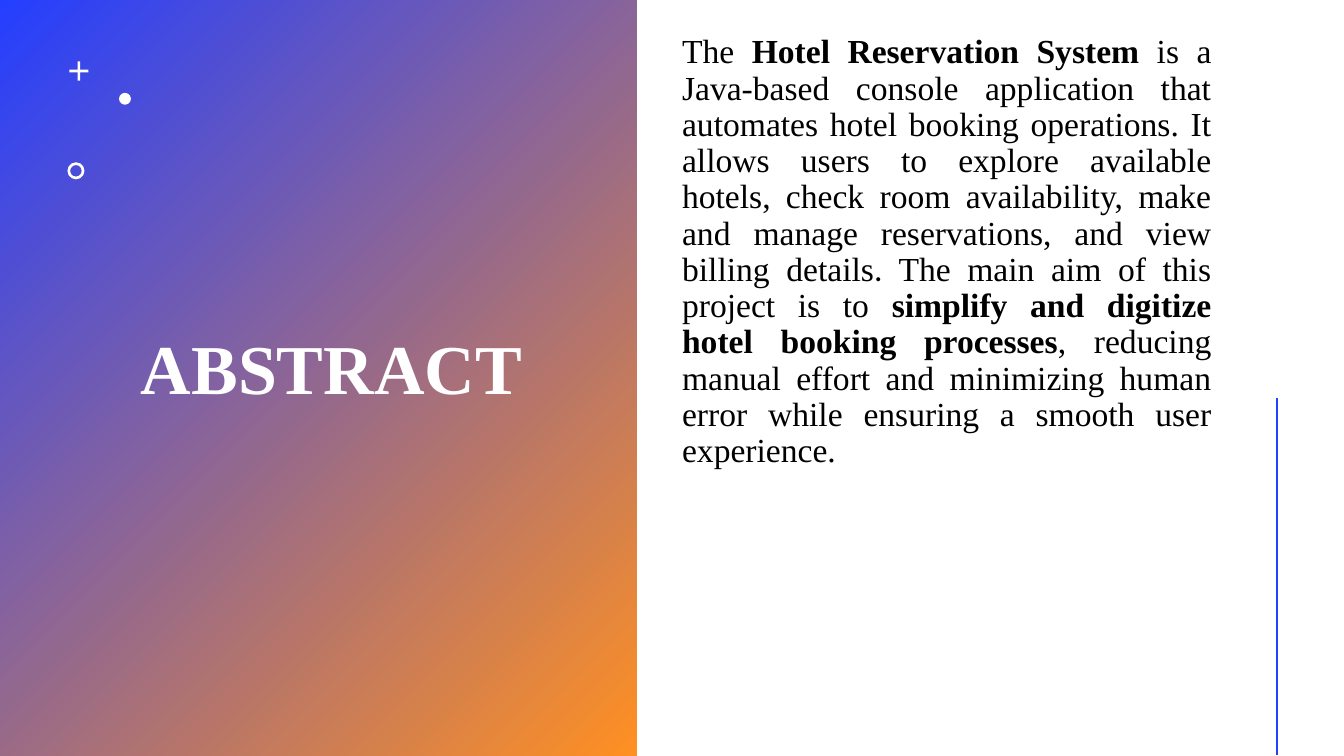
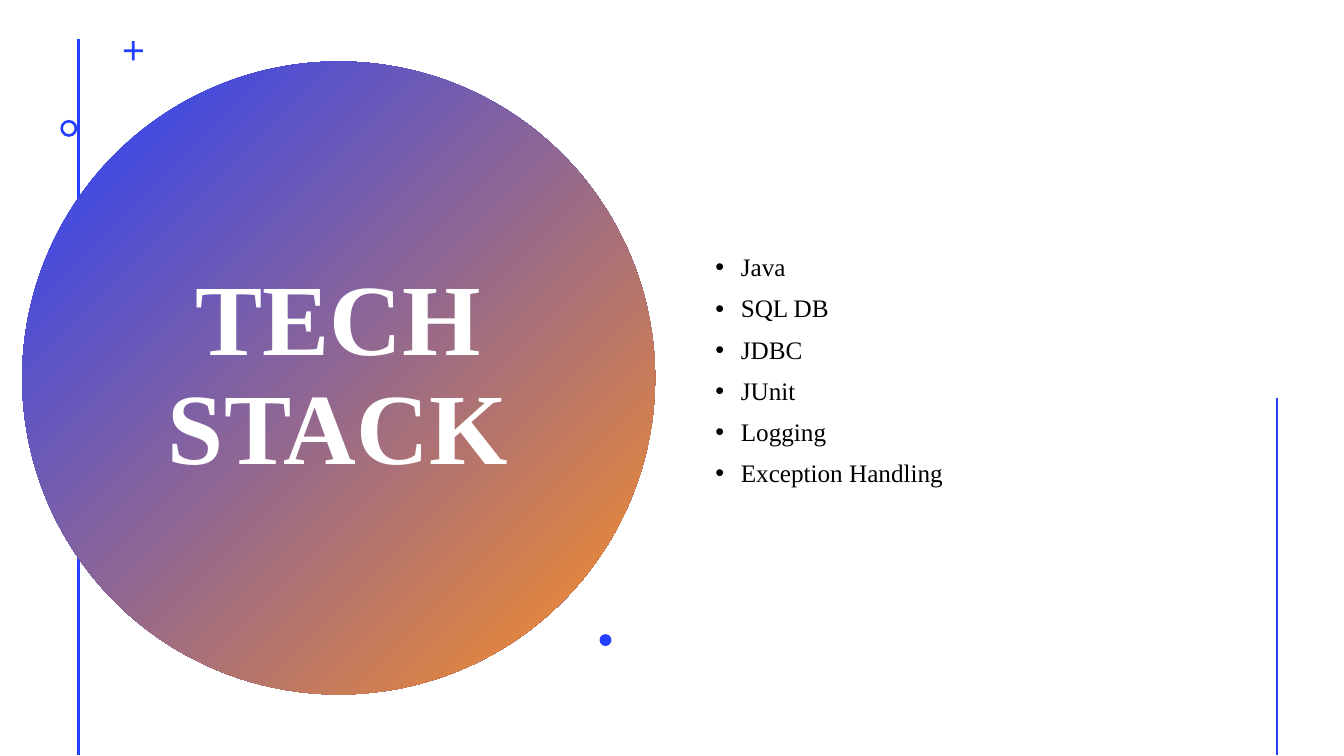
import pptx
import pptx.util
import pptx.dml.color
import pptx.enum.shapes
import pptx.enum.text
from lxml import etree

Cm, Pt = pptx.util.Cm, pptx.util.Pt
RGB = pptx.dml.color.RGBColor
Kind = pptx.enum.shapes.MSO_SHAPE
Align = pptx.enum.text.PP_ALIGN
Anchor = pptx.enum.text.MSO_ANCHOR

HUES = {"blue": "243FFF", "amber": "FF9022", "white": "FFFFFF", "black": "000000"}
SERIF = "Times New Roman"
PARA = {"line_spacing": 0.9, "space_before": Pt(10)}
HEAD = {"line_spacing": 0.9}
BOLD = {"bold": True}

RULE = (32.18, 10.03, 19.02)
MARKS = {
    "plus": (Kind.CROSS, 0.48, 0.43),
    "dot": (Kind.OVAL, 0.3, None),
    "ring": (Kind.DONUT, 0.43, 0.16),
}

PAGES = [
    {
        "rules": [],
        "panel": (Kind.RECTANGLE, (0, 0, 16.05, 19.05)),
        "title": ("ABSTRACT", (3.3, 1.07, 11.13, 16.59), 50, Align.LEFT),
        "hue": "white",
        "marks": [("plus", 1.75, 1.55), ("dot", 3, 2.34), ("ring", 1.7, 4.09)],
        "box": (16.94, 0.75, 13.84, 17.2),
        "anchor": Anchor.TOP,
        "size": 24,
        "align": Align.JUSTIFY,
        "bullet": False,
        "body": [[
            ("The ", {}),
            ("Hotel Reservation System", BOLD),
            (" is a Java-based console application that automates hotel booking "
             "operations. It allows users to explore available hotels, check room "
             "availability, make and manage reservations, and view billing details", {}),
            (". ", {"name": "Calibri"}),
            ("The main aim of this project is to ", {}),
            ("simplify and digitize hotel booking processes", BOLD),
            (", reducing manual effort and minimizing human error while ensuring "
             "a smooth user experience.", {}),
        ]],
    },
    {
        "rules": [(1.98, 0.99, 19.02)],
        "panel": (Kind.OVAL, (0.56, 1.55, 15.95, 15.95)),
        "title": ("TECH STACK", (3.45, 3.58, 10.13, 11.86), 72, Align.CENTER),
        "hue": "blue",
        "marks": [("plus", 3.12, 1.04), ("ring", 1.52, 3.02), ("dot", 15.11, 15.98)],
        "box": (17.78, 1.07, 13, 16.59),
        "anchor": Anchor.MIDDLE,
        "size": 18,
        "align": Align.LEFT,
        "bullet": True,
        "body": [[(item, {})] for item in (
            "Java", "SQL DB", "JDBC", "JUnit", "Logging", "Exception Handling")],
    },
]


def tint(hue):
    return RGB.from_string(HUES[hue])


def apply(obj, form):
    for key, val in form.items():
        setattr(obj, key, val)


def add_rule(slide, x, top, end):
    line = slide.shapes.add_connector(
        pptx.enum.shapes.MSO_CONNECTOR.STRAIGHT, Cm(x), Cm(top), Cm(x), Cm(end))
    line.line.width = Pt(2)
    line.line.color.rgb = tint("blue")
    etree.SubElement(line._element.spPr, pptx.oxml.ns.qn("a:effectLst"))


def add_form(slide, kind, box):
    form = slide.shapes.add_shape(kind, *map(Cm, box))
    form.shadow.inherit = False
    form.line.fill.background()
    return form


def add_panel(slide, kind, box):
    fill = add_form(slide, kind, box).fill
    fill.gradient()
    fill.gradient_angle = 315
    for stop, hue, pos in zip(fill.gradient_stops, ("blue", "amber"), (0, 1)):
        stop.color.rgb = tint(hue)
        stop.position = pos


def add_mark(slide, name, x, y, hue):
    kind, size, ratio = MARKS[name]
    mark = add_form(slide, kind, (x, y, size, size))
    mark.fill.solid()
    mark.fill.fore_color.rgb = tint(hue)
    if ratio:
        mark.adjustments[0] = ratio


def add_bullet(para):
    prop = para._p.get_or_add_pPr()
    prop.set("marL", str(Cm(0.64)))
    prop.set("indent", str(Cm(-0.64)))
    font = etree.SubElement(prop, pptx.oxml.ns.qn("a:buFont"))
    font.set("typeface", "Arial")
    sign = etree.SubElement(prop, pptx.oxml.ns.qn("a:buChar"))
    sign.set("char", "•")


def add_text(slide, box, paras, hue, font, form, anchor, bullet=False):
    frame = slide.shapes.add_textbox(*map(Cm, box)).text_frame
    apply(frame, {"word_wrap": True, "vertical_anchor": anchor})
    for i, parts in enumerate(paras):
        para = frame.add_paragraph() if i else frame.paragraphs[0]
        apply(para, form)
        if bullet:
            add_bullet(para)
        for text, extra in parts:
            run = para.add_run()
            run.text = text
            apply(run.font, {"name": SERIF, **font, **extra})
            run.font.color.rgb = tint(hue)


def add_page(deck, page):
    slide = deck.slides.add_slide(deck.slide_layouts[6])
    for rule in page["rules"]:
        add_rule(slide, *rule)
    add_panel(slide, *page["panel"])
    text, box, size, align = page["title"]
    add_text(slide, box, [[(text, BOLD)]], "white", {"size": Pt(size)},
             {**HEAD, "alignment": align}, Anchor.MIDDLE)
    for mark in page["marks"]:
        add_mark(slide, *mark, page["hue"])
    add_text(slide, page["box"], page["body"], "black", {"size": Pt(page["size"])},
             {**PARA, "alignment": page["align"]}, page["anchor"], page["bullet"])
    add_rule(slide, *RULE)


def main():
    deck = pptx.Presentation()
    apply(deck, {"slide_width": Cm(33.87), "slide_height": Cm(19.05)})
    for page in PAGES:
        add_page(deck, page)
    deck.save("out.pptx")


if __name__ == "__main__":
    main()
